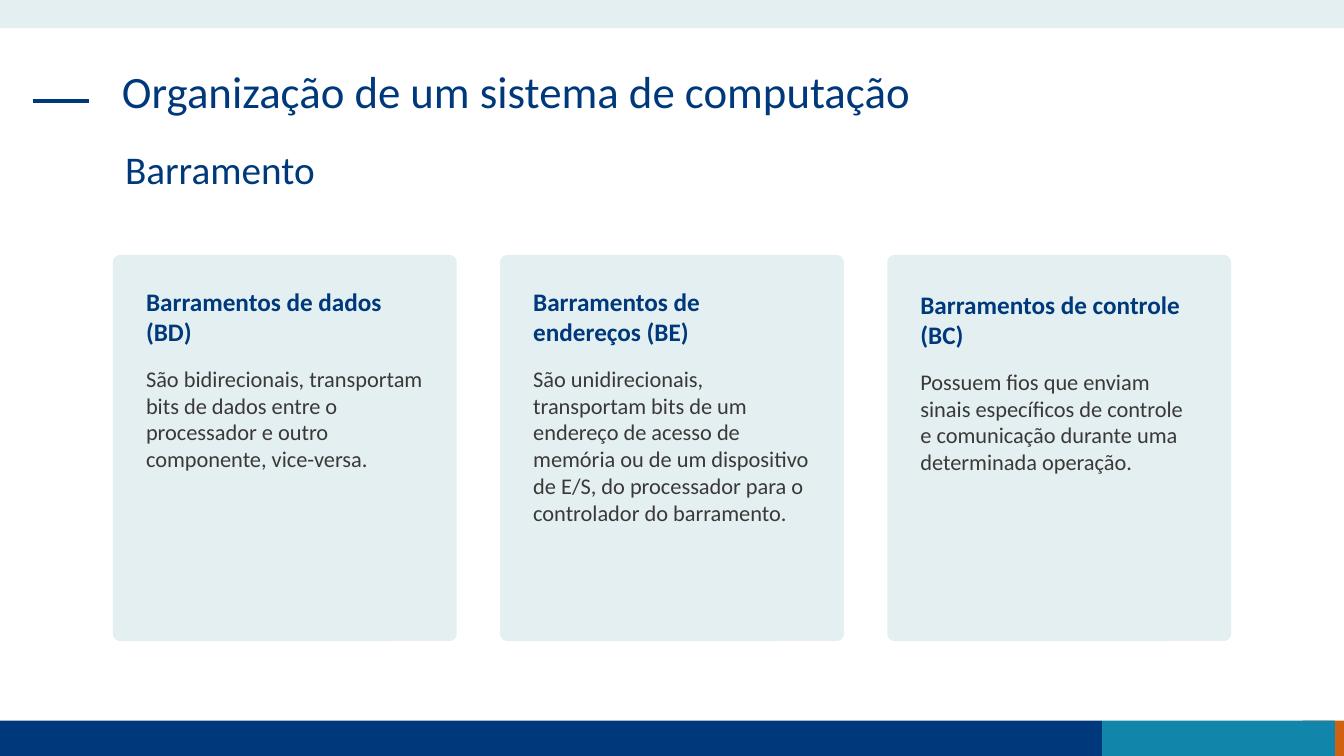
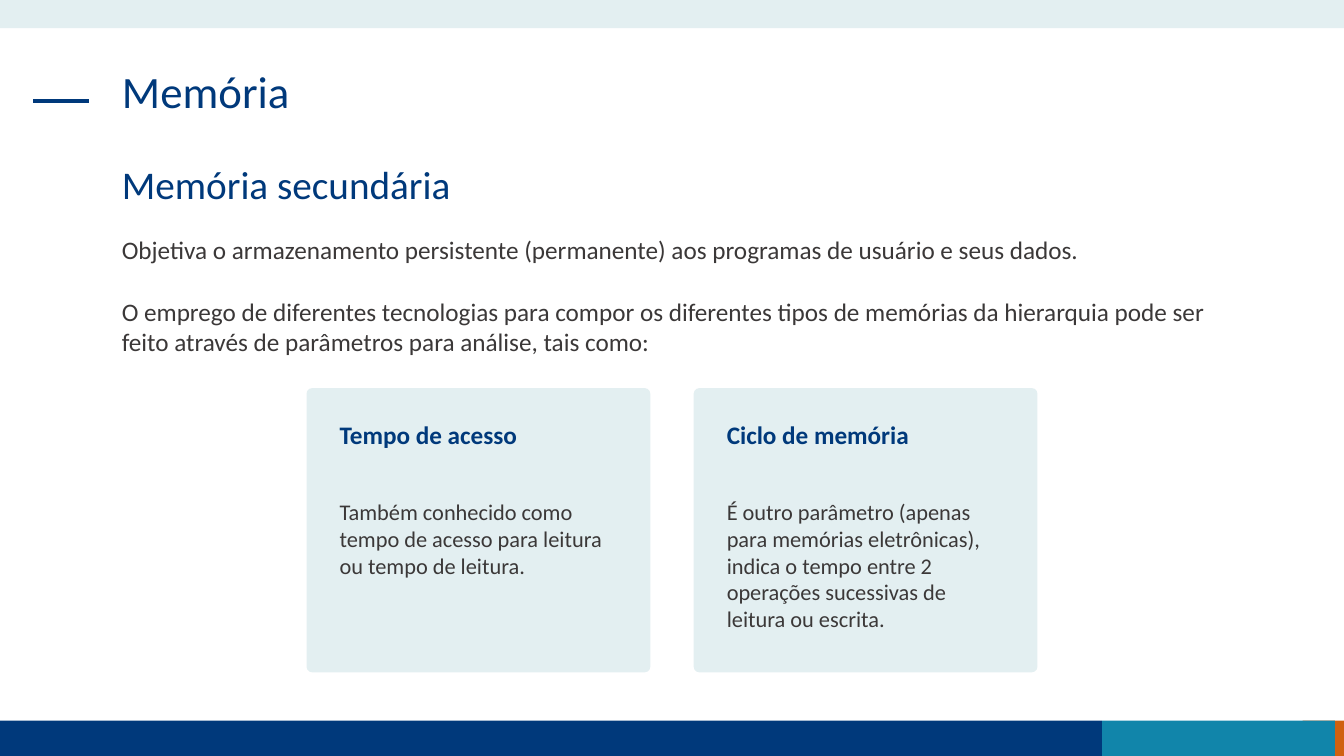
from pptx import Presentation
from pptx.dml.color import RGBColor
from pptx.enum.shapes import MSO_CONNECTOR as Line, MSO_SHAPE as Shape
from pptx.enum.text import MSO_ANCHOR as Anchor, MSO_AUTO_SIZE as Fit, PP_ALIGN as Align
from pptx.oxml.ns import qn
from pptx.util import Inches, Pt
from lxml import etree

# Content: each card is (heading, text, shift down)
SLIDES = [
    {
        "title": "Organização de um sistema de computação",
        "sub": "Barramento",
        "sub_at": (1.14, 1.44),
        "intro": [],
        "top": 2.53,
        "tall": 3.83,
        "cards": [
            ("Barramentos de dados (BD)",
             "São bidirecionais, transportam bits de dados entre o processador "
             "e outro componente, vice-versa.", 0),
            ("Barramentos de endereços (BE)",
             "São unidirecionais, transportam bits de um endereço de acesso de "
             "memória ou de um dispositivo de E/S, do processador para o "
             "controlador do barramento.", 0),
            ("Barramentos de controle (BC)",
             "Possuem fios que enviam sinais específicos de controle e "
             "comunicação durante uma determinada operação.", 0.03),
        ],
    },
    {
        "title": "Memória",
        "sub": "Memória secundária",
        "sub_at": (1.11, 1.59),
        "intro": [
            "Objetiva o armazenamento persistente (permanente) aos programas "
            "de usuário e seus dados.",
            "O emprego de diferentes tecnologias para compor os diferentes "
            "tipos de memórias da hierarquia pode ser feito através de "
            "parâmetros para análise, tais como:",
        ],
        "top": 3.85,
        "tall": 2.82,
        "cards": [
            ("Tempo de acesso",
             "Também conhecido como tempo de acesso para leitura ou tempo de "
             "leitura.", 0),
            ("Ciclo de memória",
             "É outro parâmetro (apenas para memórias eletrônicas), indica o "
             "tempo entre 2 operações sucessivas de leitura ou escrita.", 0),
        ],
    },
]

# Shared style
COLORS = {"navy": "00397B", "teal": "1185AA", "rust": "D06110",
          "pale": "E3EFF1", "text": "3B3838"}
FONT = "Calibri"
WIDE, HIGH = 13.33, 7.5
CARD, GAP, PAD = 3.41, 0.43, 0.23
BANDS = [
    ("rust", (12.92, 7.15, 0.41, 0.35)),
    ("navy", (0, 7.15, 10.93, 0.35)),
    ("teal", (10.93, 7.15, 2.31, 0.35)),
    ("pale", (0, 0, WIDE, 0.28)),
]


def color(name):
    return RGBColor.from_string(COLORS[name])


def place(shape, box):
    shape.left, shape.top, shape.width, shape.height = map(Inches, box)


def write(shape, lines, size=18, tint="text", bold=False, lead=1.0, gap=0):
    frame = shape.text_frame
    frame.word_wrap = True
    frame.auto_size = Fit.NONE
    frame.vertical_anchor = Anchor.TOP
    for i, line in enumerate(lines):
        para = frame.add_paragraph() if i else frame.paragraphs[0]
        props = para._p.get_or_add_pPr()
        props.set("marL", "0")
        props.set("indent", "0")
        etree.SubElement(props, qn("a:buNone"))
        para.text = line
        para.alignment = Align.LEFT
        para.line_spacing = lead
        para.space_before = Pt(gap if i else 0)
        font = para.font
        font.name, font.size, font.bold = FONT, Pt(size), bold
        font.color.rgb = color(tint)


def add_text(slide, box, lines, **style):
    write(slide.shapes.add_textbox(*map(Inches, box)), lines, **style)


def add_block(slide, kind, box, tint):
    block = slide.shapes.add_shape(kind, *map(Inches, box))
    block.shadow.inherit = False
    block.fill.solid()
    block.fill.fore_color.rgb = color(tint)
    block.line.fill.background()
    return block


def add_frame(slide):
    for tint, box in BANDS:
        add_block(slide, Shape.RECTANGLE, box, tint)
    ends = map(Inches, (0.33, 1, 0.88, 1))
    dash = slide.shapes.add_connector(Line.STRAIGHT, *ends)
    dash.line.color.rgb = color("navy")
    dash.line.width = Pt(3)
    etree.SubElement(dash._element.spPr, qn("a:effectLst"))


def add_cards(slide, cards, top, tall):
    # The row of cards is centred on the slide
    step = CARD + GAP
    start = (WIDE - len(cards) * step + GAP) / 2
    for i, (head, body, shift) in enumerate(cards):
        left = start + i * step
        card = add_block(slide, Shape.ROUNDED_RECTANGLE,
                         (left, top, CARD, tall), "pale")
        card.adjustments[0] = 0.02
        inner, wide, y = left + PAD, CARD - 2 * PAD, top + shift
        add_text(slide, (inner, y + 0.26, wide, 0.71), [head],
                 tint="navy", bold=True)
        add_text(slide, (inner, y + 1.04, wide, 1.72), [body], size=16)


def build(deck, data):
    slide = deck.slides.add_slide(deck.slide_layouts[1])
    add_frame(slide)
    # Title and subtitle
    title, sub = slide.placeholders
    place(title, (1.11, 0.64, 11.1, 0.94))
    write(title, [data["title"]], size=32, tint="navy", lead=0.9)
    place(sub, (*data["sub_at"], 11.1, 0.94))
    write(sub, [data["sub"]], size=28, tint="navy", lead=0.9)
    # Text and cards
    if data["intro"]:
        add_text(slide, (1.11, 2.28, 10.97, 1.31), data["intro"], gap=22)
    add_cards(slide, data["cards"], data["top"], data["tall"])


def main():
    deck = Presentation()
    deck.slide_width, deck.slide_height = Inches(WIDE), Inches(HIGH)
    for data in SLIDES:
        build(deck, data)
    deck.save("out.pptx")


if __name__ == "__main__":
    main()
